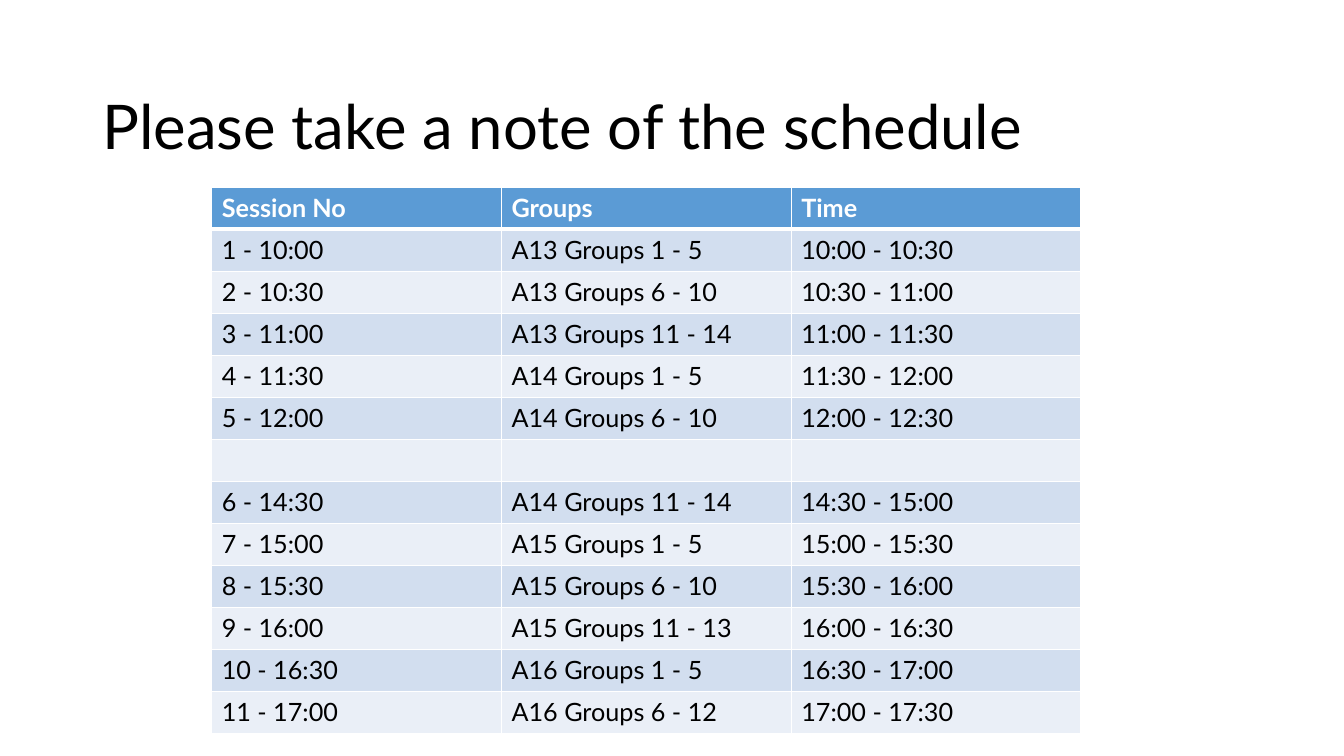
import pptx
import pptx.dml.color
import pptx.enum.text
import pptx.oxml
import pptx.oxml.ns
import pptx.util

RGBColor = pptx.dml.color.RGBColor
BLACK = RGBColor(0x00, 0x00, 0x00)
WHITE = RGBColor(0xFF, 0xFF, 0xFF)
HEADER_BLUE = RGBColor(0x5B, 0x9B, 0xD5)
BAND_DARK = RGBColor(0xD2, 0xDE, 0xEF)
BAND_LIGHT = RGBColor(0xEA, 0xEF, 0xF7)

GRID_COLUMNS, GRID_ROWS = 160, 90
COLUMN_SPAN, ROW_SPAN = 34.5, 5

HEADINGS = ("Session No", "Groups", "Time")
SESSIONS = [
    ("1 - 10:00", "A13 Groups 1 - 5", "10:00 - 10:30"),
    ("2 - 10:30", "A13 Groups 6 - 10", "10:30 - 11:00"),
    ("3 - 11:00", "A13 Groups 11 - 14", "11:00 - 11:30"),
    ("4 - 11:30", "A14 Groups 1 - 5", "11:30 - 12:00"),
    ("5 - 12:00", "A14 Groups 6 - 10", "12:00 - 12:30"),
    ("", "", ""),
    ("6 - 14:30", "A14 Groups 11 - 14", "14:30 - 15:00"),
    ("7 - 15:00", "A15 Groups 1 - 5", "15:00 - 15:30"),
    ("8 - 15:30", "A15 Groups 6 - 10", "15:30 - 16:00"),
    ("9 - 16:00", "A15 Groups 11 - 13", "16:00 - 16:30"),
    ("10 - 16:30", "A16 Groups 1 - 5", "16:30 - 17:00"),
    ("11 - 17:00", "A16 Groups 6 - 12", "17:00 - 17:30"),
]
TITLE_FONT = {"name": "Lato", "size": pptx.util.Pt(44), "bold": False}
HEADER_FONT = {"name": "Lato", "size": pptx.util.Pt(18), "bold": True}
SESSION_FONT = {**HEADER_FONT, "bold": False}

presentation = pptx.Presentation()
presentation.slide_width = pptx.util.Inches(13.33)
presentation.slide_height = pptx.util.Inches(7.5)
slide = presentation.slides.add_slide(presentation.slide_layouts[6])


def grid_box(left, top, width, height):
    """Turn grid columns and rows into slide lengths."""
    column = presentation.slide_width / GRID_COLUMNS
    row = presentation.slide_height / GRID_ROWS
    return [round(n) for n in (left * column, top * row, width * column, height * row)]


def style_text(paragraph, font_values, color):
    for attribute, value in font_values.items():
        setattr(paragraph.font, attribute, value)
    paragraph.font.color.rgb = color


title = slide.shapes.add_textbox(*grid_box(11, 2.6, 138, 17.4)).text_frame
title.word_wrap = True
title.vertical_anchor = pptx.enum.text.MSO_ANCHOR.BOTTOM
title.text = "Please take a note of the schedule"
title.paragraphs[0].line_spacing = 0.9
style_text(title.paragraphs[0], TITLE_FONT, BLACK)

lines = [HEADINGS, *SESSIONS]
schedule_box = grid_box(25.2, 22.3, COLUMN_SPAN * len(HEADINGS), ROW_SPAN * len(lines))
schedule = slide.shapes.add_table(len(lines), len(HEADINGS), *schedule_box).table

for row_index, line in enumerate(lines):
    is_header = row_index == 0
    band = BAND_DARK if row_index % 2 else BAND_LIGHT
    for column_index, text in enumerate(line):
        cell = schedule.cell(row_index, column_index)
        cell.text = text
        style_text(
            cell.text_frame.paragraphs[0],
            HEADER_FONT if is_header else SESSION_FONT,
            WHITE if is_header else BLACK,
        )
        borders = {
            "lnL": 1,
            "lnR": 1,
            "lnT": 3 if row_index == 1 else 1,
            "lnB": 3 if is_header else 1,
        }
        cell_properties = cell._tc.get_or_add_tcPr()
        for side, points in borders.items():
            cell_properties.append(pptx.oxml.parse_xml(
                f'<a:{side} {pptx.oxml.ns.nsdecls("a")} w="{pptx.util.Pt(points)}">'
                f'<a:solidFill><a:srgbClr val="{WHITE}"/></a:solidFill></a:{side}>'
            ))
        cell.fill.solid()
        cell.fill.fore_color.rgb = HEADER_BLUE if is_header else band

presentation.save("out.pptx")
